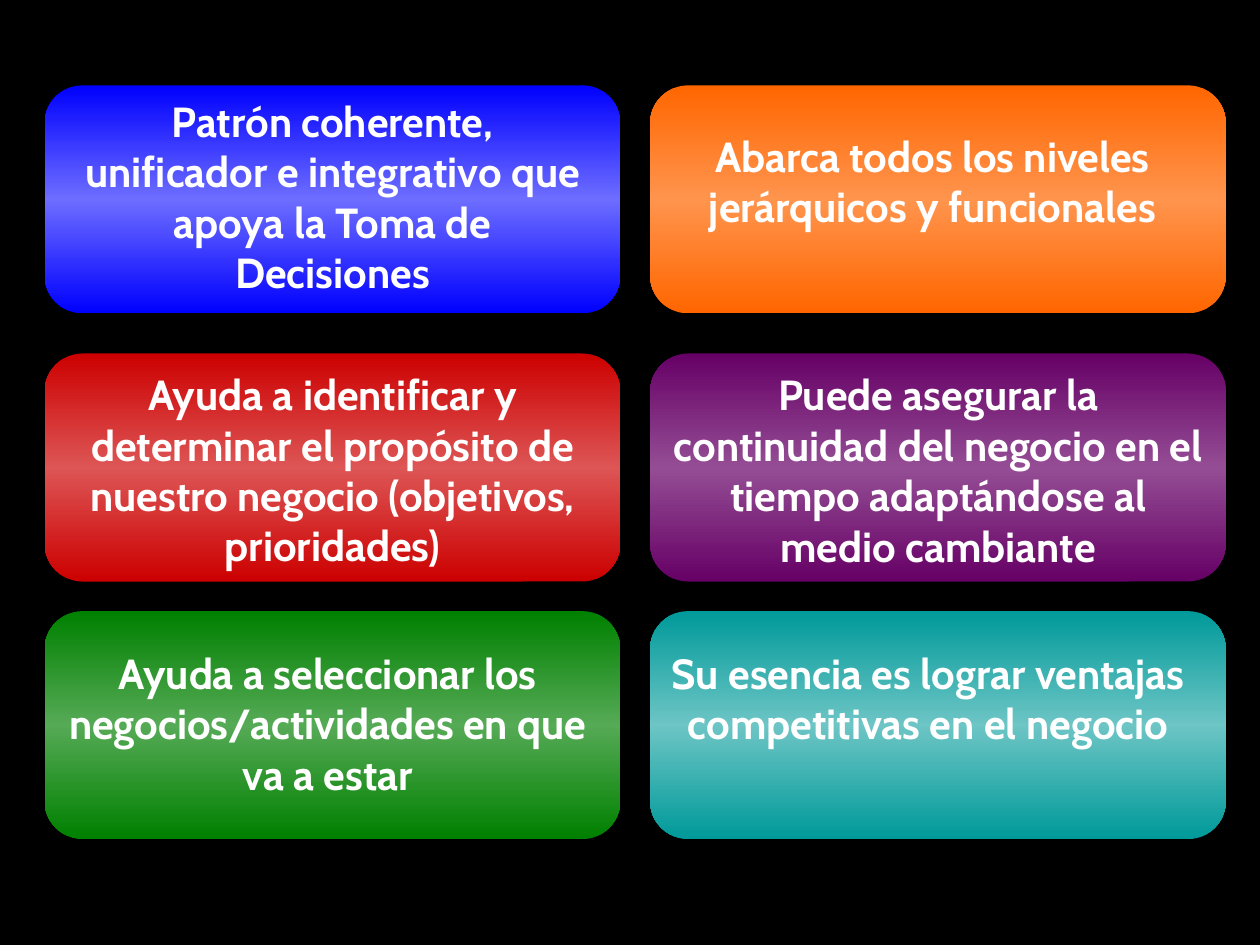
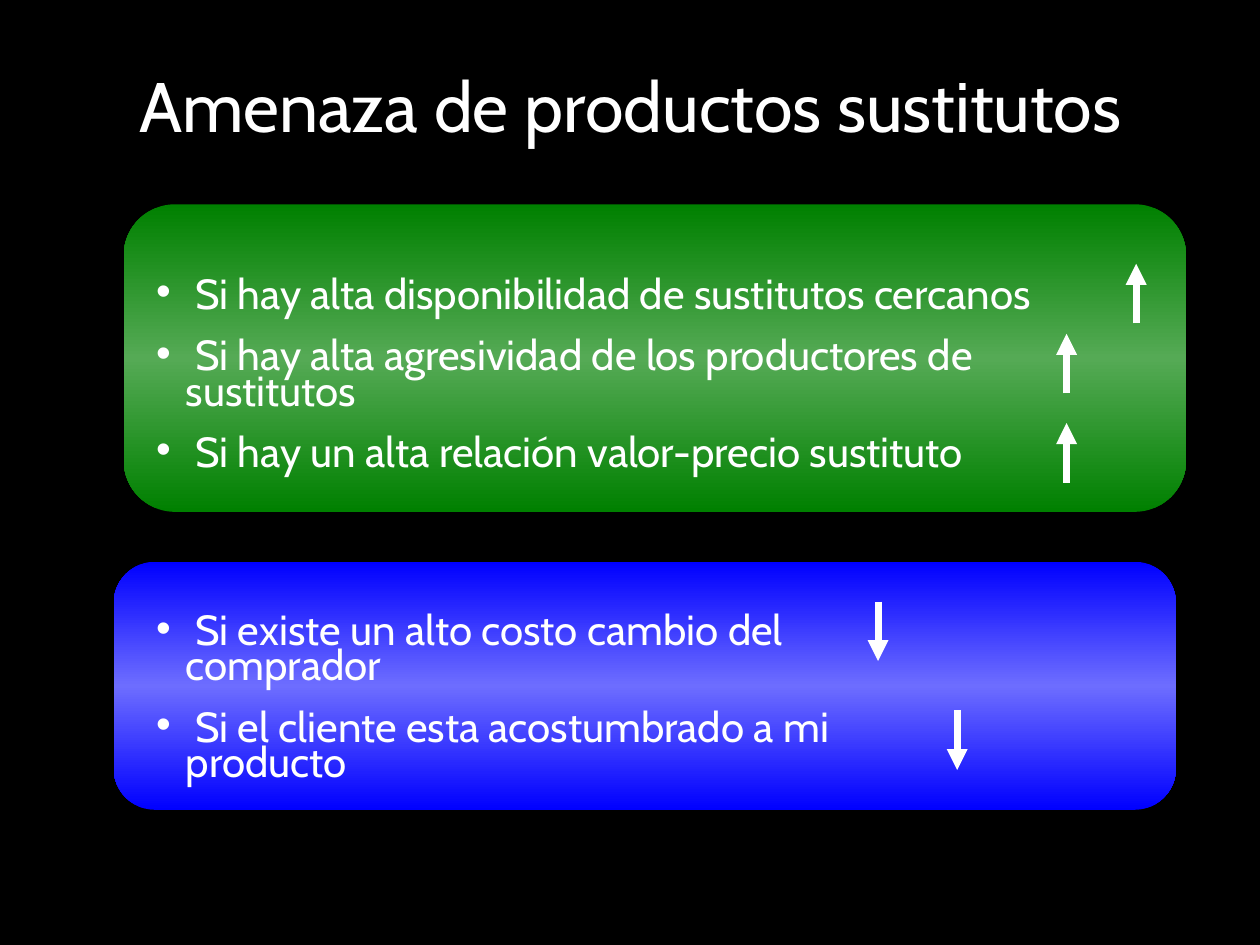
from collections import namedtuple
from copy import deepcopy

from lxml import etree
from pptx import Presentation
from pptx.dml.color import RGBColor
from pptx.enum.shapes import MSO_CONNECTOR, MSO_SHAPE
from pptx.enum.text import MSO_ANCHOR, MSO_AUTO_SIZE, PP_ALIGN
from pptx.oxml.ns import qn
from pptx.util import Pt

ROUNDED = MSO_SHAPE.ROUNDED_RECTANGLE
STRAIGHT = MSO_CONNECTOR.STRAIGHT
CENTER, LEFT = PP_ALIGN.CENTER, PP_ALIGN.LEFT
TOP, MIDDLE = MSO_ANCHOR.TOP, MSO_ANCHOR.MIDDLE
NO_AUTOFIT, FIT_SHAPE = MSO_AUTO_SIZE.NONE, MSO_AUTO_SIZE.SHAPE_TO_FIT_TEXT

FONT = "Cabin"
BLACK = RGBColor(0x00, 0x00, 0x00)
WHITE = RGBColor(0xFF, 0xFF, 0xFF)
BLUE = (RGBColor(0x00, 0x00, 0xFF), RGBColor(0x6D, 0x6D, 0xFF))
RED = (RGBColor(0xCC, 0x00, 0x00), RGBColor(0xDD, 0x55, 0x55))
GREEN = (RGBColor(0x00, 0x80, 0x00), RGBColor(0x55, 0xAA, 0x55))
ORANGE = (RGBColor(0xFF, 0x66, 0x00), RGBColor(0xFF, 0x94, 0x4D))
PURPLE = (RGBColor(0x66, 0x00, 0x66), RGBColor(0x94, 0x4D, 0x94))
TEAL = (RGBColor(0x00, 0x99, 0x99), RGBColor(0x6D, 0xC5, 0xC5))

Box = namedtuple("Box", "left top width height")

COLUMN_LEFTS = (25.5, 371.5)
ROW_TOPS = (48.75, 202, 349.2)
CARD_WIDTH, CARD_HEIGHT = 329, 130.3
ARROW_LENGTH = 34

STRATEGY_CARDS = [
    ("Patrón coherente, unificador e integrativo que apoya la Toma de Decisiones",
     BLUE, Box(11.5, 2.2, 306, 122)),
    ("Abarca todos los niveles jerárquicos y funcionales",
     ORANGE, Box(10.8, 22.3, 301, 94)),
    ("Ayuda a identificar y determinar el propósito de nuestro negocio "
     "(objetivos, prioridades)", RED, Box(11.5, 5.2, 306, 122)),
    ("Puede asegurar la continuidad del negocio en el tiempo adaptándose al medio cambiante",
     PURPLE, Box(5.8, 5.2, 317.5, 151)),
    ("Ayuda a seleccionar los negocios/actividades en que va a estar",
     GREEN, Box(5.8, 17.3, 312, 94)),
    ("Su esencia es lograr ventajas competitivas en el negocio",
     TEAL, Box(0, 17.3, 317.5, 94)),
]
RISING_THREATS = [
    " Si hay alta disponibilidad de sustitutos cercanos",
    " Si hay alta agresividad de los productores de sustitutos",
    " Si hay un alta relación valor-precio sustituto",
]
FALLING_THREATS = [
    " Si existe un alto costo cambio del comprador",
    " Si el cliente esta acostumbrado a mi producto",
]


def points(box):
    """Return the four measures of a box as lengths."""
    return [Pt(measure) for measure in box]


def place(shape, box):
    """Move a placeholder into a box."""
    shape.left, shape.top, shape.width, shape.height = points(box)


def format_runs(paragraph, size, bold=False):
    """Give the runs of a paragraph the shared white type."""
    for run in paragraph.runs:
        run.font.name = FONT
        run.font.size = Pt(size)
        run.font.bold = bold
        run.font.color.rgb = WHITE


def add_panel(shapes, box, colours):
    """Add a rounded panel that is lighter along its middle."""
    edge, middle = colours
    panel = shapes.add_shape(ROUNDED, *points(box))
    panel.shadow.inherit = False
    panel.line.fill.background()
    panel.fill.gradient()
    panel.fill.gradient_angle = 270
    stops = panel.element.spPr.find(qn("a:gradFill")).find(qn("a:gsLst"))
    stops.append(deepcopy(stops[0]))
    for stop, position, colour in zip(
            panel.fill.gradient_stops, (0, 0.5, 1), (edge, middle, edge)):
        stop.position = position
        stop.color.rgb = colour
    return panel


def add_card(slide, box, text, colours, text_area):
    """Add a panel grouped with its centred bold text."""
    group = slide.shapes.add_group_shape()
    add_panel(group.shapes, box, colours)
    text_box = group.shapes.add_textbox(*points(text_area._replace(
        left=box.left + text_area.left, top=box.top + text_area.top)))
    frame = text_box.text_frame
    frame.word_wrap = True
    frame.auto_size = FIT_SHAPE
    frame.text = text
    frame.paragraphs[0].alignment = CENTER
    format_runs(frame.paragraphs[0], 24, bold=True)


def add_bullet(paragraph):
    """Give a paragraph a hanging white bullet."""
    properties = paragraph._p.get_or_add_pPr()
    properties.set("marL", str(Pt(17)))
    properties.set("indent", str(-Pt(17)))
    colour = etree.SubElement(properties, qn("a:buClr"))
    etree.SubElement(colour, qn("a:srgbClr"), val=str(WHITE))
    etree.SubElement(properties, qn("a:buChar"), char="•")


def add_list_panel(slide, box, colours, placeholder, text_area, items):
    """Add a panel and lay a bulleted body placeholder over it."""
    panel = add_panel(slide.shapes, box, colours)
    panel.element.addnext(placeholder.element)
    place(placeholder, text_area._replace(
        left=box.left + text_area.left, top=box.top + text_area.top))
    frame = placeholder.text_frame
    frame.text = "\n".join(items)
    frame.auto_size = NO_AUTOFIT
    frame.vertical_anchor = TOP
    for index, paragraph in enumerate(frame.paragraphs):
        add_bullet(paragraph)
        paragraph.alignment = LEFT
        paragraph.line_spacing = 0.7
        paragraph.space_before = Pt(15 if index else 0)
        format_runs(paragraph, 24)


def add_arrow(slide, box, offset_x, offset_y, upward):
    """Add a vertical arrow whose top is offset from the corner of a box."""
    x, top = box.left + offset_x, box.top + offset_y
    start, end = top, top + ARROW_LENGTH
    if upward:
        start, end = end, start
    arrow = slide.shapes.add_connector(STRAIGHT, Pt(x), Pt(start), Pt(x), Pt(end))
    arrow.line.color.rgb = WHITE
    arrow.line.width = Pt(4)
    etree.SubElement(arrow.line._get_or_add_ln(), qn("a:tailEnd"), type="triangle")
    etree.SubElement(arrow.element.spPr, qn("a:effectLst"))


def add_title(slide, box, text):
    """Fill the title placeholder."""
    title = slide.shapes.title
    place(title, box)
    title.text_frame.text = text
    title.text_frame.vertical_anchor = MIDDLE
    title.text_frame.paragraphs[0].alignment = CENTER
    format_runs(title.text_frame.paragraphs[0], 40)


def build_strategy_slide(presentation):
    """Build the grid of six strategy cards."""
    slide = presentation.slides.add_slide(presentation.slide_layouts[6])
    for index, card in enumerate(STRATEGY_CARDS):
        row, column = divmod(index, len(COLUMN_LEFTS))
        box = Box(COLUMN_LEFTS[column], ROW_TOPS[row], CARD_WIDTH, CARD_HEIGHT)
        add_card(slide, box, *card)


def build_substitutes_slide(presentation):
    """Build the slide on the threat of substitute products."""
    slide = presentation.slides.add_slide(presentation.slide_layouts[3])
    rising_list, falling_list = slide.placeholders[1], slide.placeholders[2]
    add_title(slide, Box(36, 15, 648, 90), "Amenaza de productos sustitutos")
    rising = Box(70.75, 116.75, 607, 175.75)
    falling = Box(65, 321, 607, 141.75)
    add_list_panel(slide, rising, GREEN, rising_list,
                   Box(11.25, 40.25, 556, 138), RISING_THREATS)
    add_list_panel(slide, falling, BLUE, falling_list,
                   Box(17, 28.25, 484, 138), FALLING_THREATS)
    for offset_x, offset_y in ((578.5, 34), (538.75, 74), (538.75, 125)):
        add_arrow(slide, rising, offset_x, offset_y, upward=True)
    for offset_x, offset_y in ((436.75, 22.75), (482, 85)):
        add_arrow(slide, falling, offset_x, offset_y, upward=False)


def main():
    """Build and save the presentation."""
    presentation = Presentation()
    presentation.slide_width, presentation.slide_height = Pt(720), Pt(540)
    background = presentation.slide_master.background.fill
    background.solid()
    background.fore_color.rgb = BLACK
    build_strategy_slide(presentation)
    build_substitutes_slide(presentation)
    presentation.save("out.pptx")


if __name__ == "__main__":
    main()
